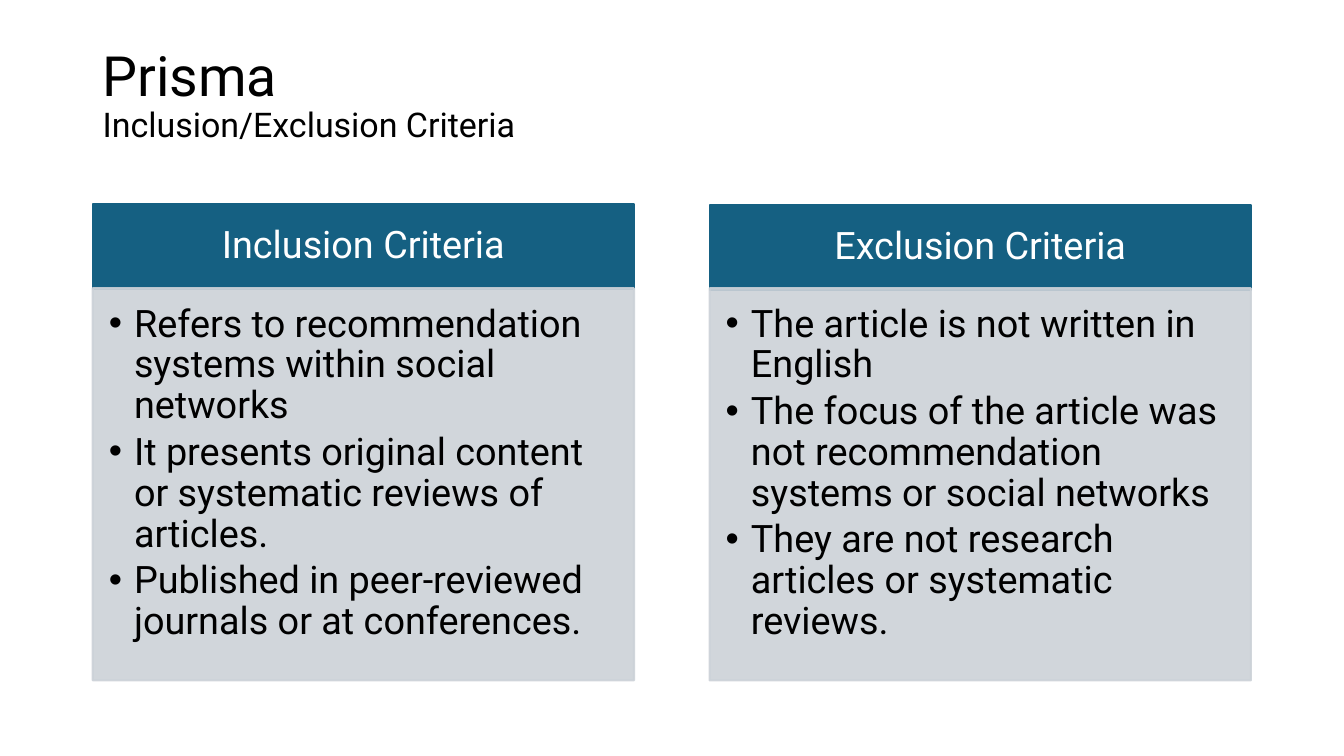
"""Build the inclusion and exclusion criteria slide."""
import pptx
import pptx.dml.color
import pptx.enum.shapes
import pptx.enum.text
import pptx.oxml.ns
import pptx.util
from lxml import etree

Pt = pptx.util.Pt
qn = pptx.oxml.ns.qn
RGBColor = pptx.dml.color.RGBColor
PP_ALIGN = pptx.enum.text.PP_ALIGN
MSO_ANCHOR = pptx.enum.text.MSO_ANCHOR

BLUE = RGBColor(0x15, 0x60, 0x82)
GREY = RGBColor(0xCC, 0xD2, 0xD8)
BLACK = RGBColor(0, 0, 0)
WHITE = RGBColor(0xFF, 0xFF, 0xFF)
FONT = "Roboto"

LEFT, COLUMN_STEP, COLUMN_WIDTH = 66.24, 440.64, 386.64
HEADER_HEIGHT, BODY_TOP, BODY_HEIGHT = 61.2, 205.92, 280.08
COLUMNS = [
    ("Inclusion Criteria", 145.44, [
        "Refers to recommendation systems within social networks",
        "It presents original content or systematic reviews of articles.",
        "Published in peer-reviewed journals or at conferences.",
    ]),
    ("Exclusion Criteria", 146.16, [
        "The article is not written in English",
        "The focus of the article was not recommendation systems or social networks",
        "They are not research articles or systematic reviews.",
    ]),
]


def set_frame(tf, anchor, insets):
    """Set wrapping, anchor and the left, top, right and bottom insets."""
    tf.word_wrap = True
    tf.vertical_anchor = anchor
    tf.margin_left, tf.margin_top, tf.margin_right, tf.margin_bottom = map(Pt, insets)


def style_paragraph(p, size, color, align=PP_ALIGN.LEFT):
    """Set the alignment, line spacing and font of a paragraph."""
    p.alignment = align
    p.line_spacing = 0.9
    for r in p.runs:
        r.font.name = FONT
        r.font.size = Pt(size)
        r.font.color.rgb = color


def add_bullet(p):
    """Give a paragraph a hanging round bullet."""
    pPr = p._p.get_or_add_pPr()
    pPr.set("marL", str(Pt(18)))
    pPr.set("indent", str(-Pt(18)))
    etree.SubElement(pPr, qn("a:buFont")).set("typeface", "Arial")
    etree.SubElement(pPr, qn("a:buChar")).set("char", "•")


def add_box(s, x, y, w, h, color, opacity=100):
    """Add a rectangle with fill and line of one colour."""
    sp = s.shapes.add_shape(
        pptx.enum.shapes.MSO_SHAPE.RECTANGLE, Pt(x), Pt(y), Pt(w), Pt(h))
    sp.shadow.inherit = False
    sp.fill.solid()
    sp.fill.fore_color.rgb = color
    sp.line.color.rgb = color
    sp.line.width = Pt(1.5)
    if opacity < 100:
        for clr in sp._element.spPr.iter(qn("a:srgbClr")):
            etree.SubElement(clr, qn("a:alpha")).set("val", str(opacity * 1000))
    return sp


def add_title(s, x, y, w, h):
    """Add the title with its smaller second line."""
    tf = s.shapes.add_textbox(Pt(x), Pt(y), Pt(w), Pt(h)).text_frame
    set_frame(tf, MSO_ANCHOR.MIDDLE, (7.2, 3.6, 7.2, 27))
    p = tf.paragraphs[0]
    p.text = "Prisma\vInclusion/Exclusion Criteria"
    style_paragraph(p, 39.6, BLACK)
    p.runs[1].font.size = Pt(24.3)


def add_header(s, x, y, w, h, text):
    """Add the coloured heading of a column."""
    tf = add_box(s, x, y, w, h, BLUE).text_frame
    set_frame(tf, MSO_ANCHOR.MIDDLE, (15, 8.6, 15, 8.6))
    tf.text = text
    style_paragraph(tf.paragraphs[0], 27, WHITE, PP_ALIGN.CENTER)


def add_criteria(s, x, y, w, h, criteria):
    """Add the bulleted body of a column."""
    tf = add_box(s, x, y, w, h, GREY, 90).text_frame
    set_frame(tf, MSO_ANCHOR.TOP, (11.5, 11.5, 15, 17.3))
    tf.text = "\n".join(criteria)
    for p in tf.paragraphs:
        style_paragraph(p, 27, BLACK)
        p.space_after = Pt(4)
        add_bullet(p)


def main():
    """Build and save the presentation."""
    prs = pptx.Presentation()
    prs.slide_width, prs.slide_height = Pt(960), Pt(540)
    s = prs.slides.add_slide(prs.slide_layouts[6])
    add_title(s, LEFT, 28.8, 828, 104.4)
    for i, (heading, top, criteria) in enumerate(COLUMNS):
        x = LEFT + i * COLUMN_STEP
        add_header(s, x, top, COLUMN_WIDTH, HEADER_HEIGHT, heading)
        add_criteria(s, x, BODY_TOP, COLUMN_WIDTH, BODY_HEIGHT, criteria)
    prs.save("out.pptx")


if __name__ == "__main__":
    main()
